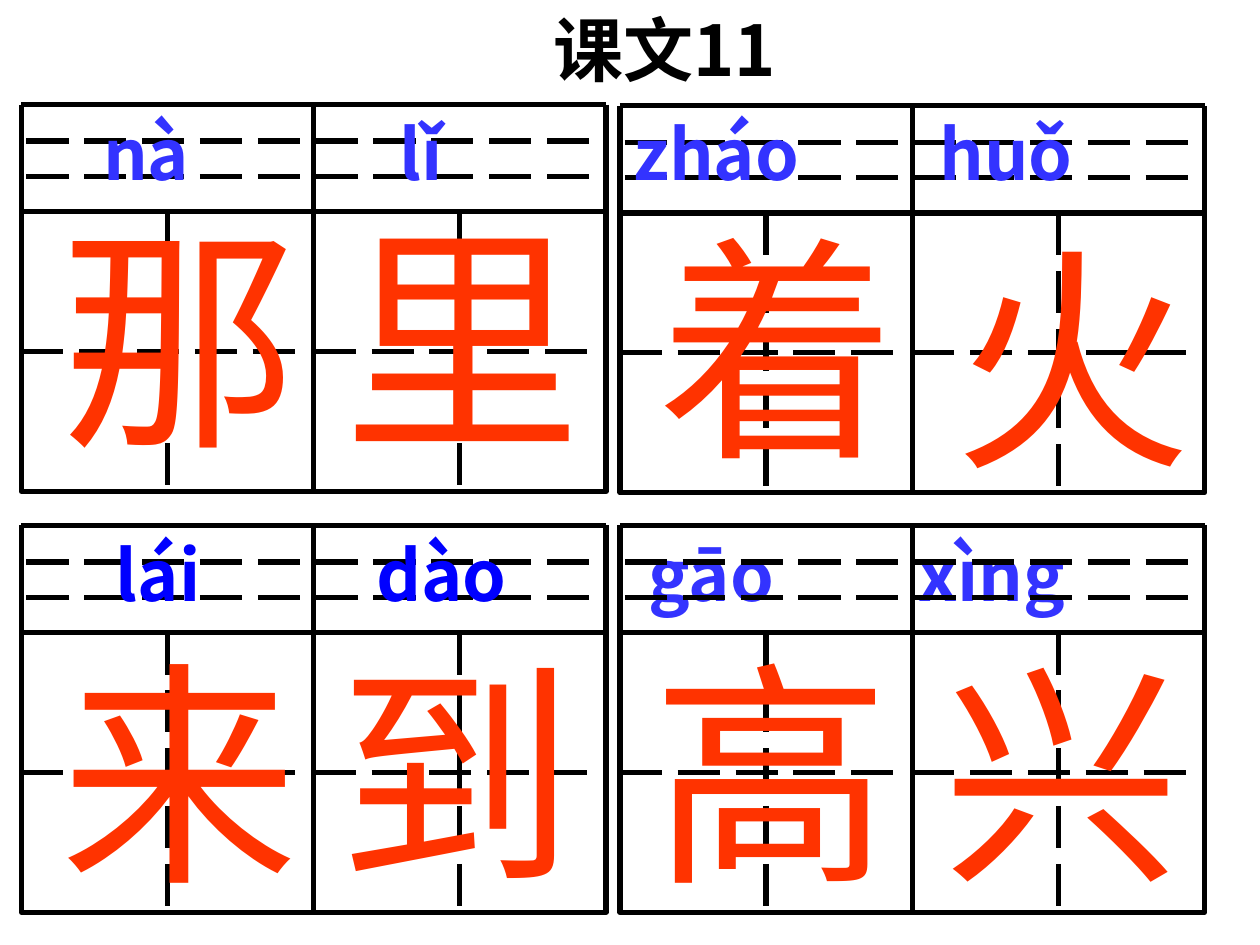
from dataclasses import dataclass

from lxml import etree
from pptx import Presentation
from pptx.dml.color import RGBColor
from pptx.enum.dml import MSO_LINE
from pptx.enum.shapes import MSO_CONNECTOR, MSO_SHAPE
from pptx.enum.text import MSO_ANCHOR, MSO_AUTO_SIZE, PP_ALIGN
from pptx.oxml.ns import qn
from pptx.util import Inches, Pt

STRAIGHT = MSO_CONNECTOR.STRAIGHT
RECT = MSO_SHAPE.RECTANGLE
LONG_DASH = MSO_LINE.LONG_DASH
TOP = MSO_ANCHOR.TOP
LEFT = PP_ALIGN.LEFT
NO_AUTOSIZE = MSO_AUTO_SIZE.NONE


@dataclass(frozen=True)
class Theme:
    ink: str = "000000"
    hanzi: str = "FF3300"
    pinyin: str = "3333FF"
    pinyin_deep: str = "0000FF"
    cjk: str = "Noto Sans CJK SC"
    latin: str = "Arial"
    text_size: int = 40
    hanzi_size: int = 136
    line: int = 3


THEME = Theme()

# Proportions of a practice grid
CELL_W, CELL_H = 2.32, 2.22
PINYIN_H = 0.85
GUIDES = (0.57, 0.29)
GUIDE_INSET = 0.04


def style_line(line, dashed=False):
    line.color.rgb = RGBColor.from_string(THEME.ink)
    line.width = Pt(THEME.line)
    if dashed:
        line.dash_style = LONG_DASH


def add_line(shapes, x1, y1, x2, y2, dashed=False):
    c = shapes.add_connector(STRAIGHT, Inches(x1), Inches(y1), Inches(x2), Inches(y2))
    style_line(c.line, dashed)
    etree.SubElement(c._element.spPr, qn("a:effectLst"))


def add_grid(slide, left, top):
    """Two character cells under a four-line pinyin band."""
    shapes = slide.shapes.add_group_shape().shapes
    cell_top = top + PINYIN_H
    bottom = cell_top + CELL_H
    right = left + 2 * CELL_W
    for x in (left, left + CELL_W):
        sp = shapes.add_shape(RECT, Inches(x), Inches(cell_top), Inches(CELL_W), Inches(CELL_H))
        sp.shadow.inherit = False
        sp.fill.background()
        style_line(sp.line)
        add_line(shapes, x + CELL_W / 2, cell_top, x + CELL_W / 2, bottom, True)
        middle = cell_top + CELL_H / 2
        add_line(shapes, x, middle, x + CELL_W - GUIDE_INSET, middle, True)
    add_line(shapes, left, top, right, top)
    for dy in GUIDES:
        add_line(shapes, left + GUIDE_INSET, top + dy, right, top + dy, True)
    for x in (left, right, left + CELL_W):
        add_line(shapes, x, top, x, bottom)


def add_run(p, text, size, color, font, bold=False):
    r = p.add_run()
    r.text = text
    r.font.size = Pt(size)
    r.font.bold = bold
    r.font.color.rgb = RGBColor.from_string(color)
    r.font.name = font
    ea = etree.SubElement(r._r.get_or_add_rPr(), qn("a:ea"))
    ea.set("typeface", font)


def add_box(slide, left, top, width, height):
    sp = slide.shapes.add_textbox(Inches(left), Inches(top), Inches(width), Inches(height))
    tf = sp.text_frame
    tf.word_wrap = True
    tf.auto_size = NO_AUTOSIZE
    return tf.paragraphs[0]


def add_hanzi(slide, text, left, top, font=THEME.latin):
    p = add_box(slide, left, top, 2.28, 2.37)
    add_run(p, text, THEME.hanzi_size, THEME.hanzi, font)


def add_pinyin(slide, left, top, width, syllables):
    """One line of syllables, each (text, tab position, colour)."""
    p = add_box(slide, left, top, width, 0.77)
    tabs = etree.SubElement(p._p.get_or_add_pPr(), qn("a:tabLst"))
    for text, pos, color in syllables:
        tab = etree.SubElement(tabs, qn("a:tab"))
        tab.set("pos", str(Inches(pos)))
        tab.set("algn", "l")
        add_run(p, "\t" + text, THEME.text_size, color, THEME.cjk, True)


def set_title(slide, text):
    sp = slide.shapes.title
    sp.left, sp.top, sp.width, sp.height = Inches(4.29), 0, Inches(2.52), Inches(0.77)
    tf = sp.text_frame
    tf.vertical_anchor = TOP
    tf.auto_size = NO_AUTOSIZE
    p = tf.paragraphs[0]
    p.alignment = LEFT
    p.space_before = Pt(0)
    add_run(p, text, THEME.text_size, THEME.ink, THEME.cjk, True)


def main():
    prs = Presentation()
    prs.slide_width, prs.slide_height = Inches(10), Inches(7.5)
    slide = prs.slides.add_slide(prs.slide_layouts[5])
    set_title(slide, "课文11")

    # Upper row
    add_grid(slide, 0.17, 0.83)
    add_grid(slide, 4.92, 0.84)
    add_hanzi(slide, "里", 2.63, 1.47, THEME.cjk)
    add_hanzi(slide, "那", 0.38, 1.47, THEME.cjk)
    add_hanzi(slide, "着", 5.13, 1.55)
    add_hanzi(slide, "火", 7.47, 1.63)
    add_pinyin(slide, 0, 0.83, 9.96, [
        ("nà", 0.72, THEME.pinyin), ("lǐ", 3.07, THEME.pinyin),
        ("zháo", 4.93, THEME.pinyin), ("huǒ", 7.36, THEME.pinyin)])

    # Lower row: the right-hand grid lies over its pinyin
    add_grid(slide, 0.17, 4.17)
    add_pinyin(slide, -0.17, 4.17, 9.58, [
        ("lái", 0.99, THEME.pinyin_deep), ("dào", 3.06, THEME.pinyin_deep),
        ("gāo", 5.22, THEME.pinyin), ("xìng", 7.36, THEME.pinyin)])
    add_hanzi(slide, "到", 2.58, 4.92)
    add_hanzi(slide, "来", 0.38, 4.92)
    add_grid(slide, 4.92, 4.17)
    add_hanzi(slide, "高", 5.08, 4.92)
    add_hanzi(slide, "兴", 7.38, 4.92)

    prs.save("out.pptx")


if __name__ == "__main__":
    main()
